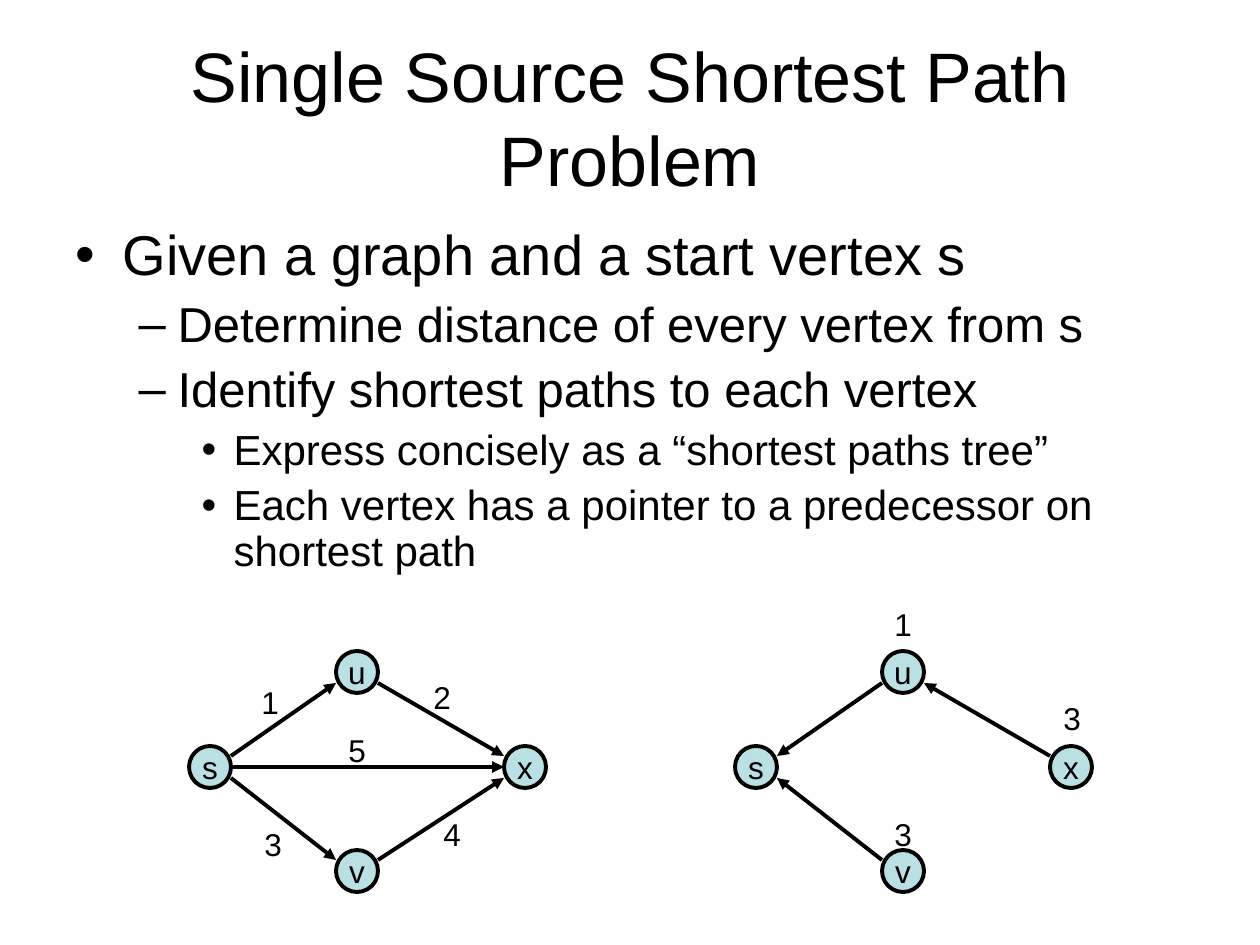
from lxml.etree import SubElement
from pptx import Presentation
from pptx.dml.color import RGBColor
from pptx.enum.shapes import MSO_CONNECTOR, MSO_SHAPE
from pptx.enum.text import MSO_ANCHOR, MSO_AUTO_SIZE, PP_ALIGN
from pptx.oxml.ns import qn
from pptx.util import Pt

PX = 7257  # EMU per px, 126 px to the inch
COLORS = {name: RGBColor.from_string(value) for name, value in
          {"ink": "000000", "vertex": "BBE0E3"}.items()}
VERTEX_SIZE = 42
LABEL_SIZE = (43, 50)


def place(shape, left, top, width, height):
    shape.left, shape.top = left * PX, top * PX
    shape.width, shape.height = width * PX, height * PX


def style(paragraph, size, align):
    paragraph.alignment = align
    paragraph.font.name = "Arial"
    paragraph.font.size = Pt(size)
    paragraph.font.color.rgb = COLORS["ink"]


prs = Presentation()
prs.slide_width, prs.slide_height = 1260 * PX, 945 * PX
slide = prs.slides.add_slide(prs.slide_layouts[1])
shapes = slide.shapes

# Title
title = shapes.title
place(title, 63, 38, 1134, 158)
title.text_frame.text = "Single Source Shortest Path Problem"
title.text_frame.auto_size = MSO_AUTO_SIZE.NONE
title.text_frame.vertical_anchor = MSO_ANCHOR.MIDDLE
style(title.text_frame.paragraphs[0], 40, PP_ALIGN.CENTER)

# Problem statement: bullet, margin, hanging indent, size and space before per level
LEVELS = [("•", 47, 47, 32, 8), ("–", 102, 39, 28, 7), ("•", 158, 32, 24, 6)]
statement = [
    (0, "Given a graph and a start vertex s"),
    (1, "Determine distance of every vertex from s"),
    (1, "Identify shortest paths to each vertex"),
    (2, "Express concisely as a “shortest paths tree”"),
    (2, "Each vertex has a pointer to a predecessor on shortest path"),
]
body = slide.placeholders[1]
place(body, 63, 221, 1134, 388)
body.text_frame.auto_size = MSO_AUTO_SIZE.NONE
for index, (level, text) in enumerate(statement):
    bullet, margin, hanging, size, before = LEVELS[level]
    point = body.text_frame.paragraphs[0] if index == 0 else body.text_frame.add_paragraph()
    point.text = text
    point.level = level
    point.line_spacing = 0.9
    point.space_before = Pt(before if index else 0)
    properties = point._p.get_or_add_pPr()
    properties.set("marL", str(margin * PX))
    properties.set("indent", str(-hanging * PX))
    bullet_color = SubElement(properties, qn("a:buClr"))
    SubElement(bullet_color, qn("a:srgbClr"), val=str(COLORS["ink"]))
    SubElement(properties, qn("a:buChar"), char=bullet)
    style(point, size, PP_ALIGN.LEFT)

# Vertices, and edges as (start, offset down its right side, end, offset down its left side)
vertices = {"s": (189, 746), "v": (336, 850), "x": (504, 746), "u": (336, 651)}
HIGH, MIDDLE, LOW = 10, 21, 32
s_u = ("s", HIGH, "u", LOW)
s_x = ("s", MIDDLE, "x", MIDDLE)
s_v = ("s", LOW, "v", HIGH)
u_x = ("u", LOW, "x", HIGH)
v_x = ("v", HIGH, "x", LOW)

# Weighted graph, then shortest paths tree with pointers to predecessors
graphs = [
    (0, [s_u, s_x, s_v, u_x, v_x], "a:tailEnd",
     [("1", 249, 677), ("2", 421, 672), ("5", 336, 725), ("3", 252, 819), ("4", 431, 809)]),
    (546, [s_u, s_v, u_x], "a:headEnd",
     [("1", 336, 599), ("3", 505, 693), ("3", 336, 809)]),
]
for shift, edges, arrow_end, labels in graphs:
    for name, (left, top) in vertices.items():
        vertex = shapes.add_shape(MSO_SHAPE.OVAL, (left + shift) * PX, top * PX,
                                  VERTEX_SIZE * PX, VERTEX_SIZE * PX)
        vertex.shadow.inherit = False
        vertex.fill.solid()
        vertex.fill.fore_color.rgb = COLORS["vertex"]
        vertex.line.color.rgb = COLORS["ink"]
        vertex.line.width = Pt(2.25)
        vertex.text_frame.text = name
        vertex.text_frame.word_wrap = False
        vertex.text_frame.vertical_anchor = MSO_ANCHOR.MIDDLE
        style(vertex.text_frame.paragraphs[0], 18, PP_ALIGN.CENTER)

    for start, start_drop, end, end_drop in edges:
        start_left, start_top = vertices[start]
        end_left, end_top = vertices[end]
        edge = shapes.add_connector(
            MSO_CONNECTOR.STRAIGHT,
            (start_left + VERTEX_SIZE + shift) * PX, (start_top + start_drop) * PX,
            (end_left + shift) * PX, (end_top + end_drop) * PX)
        edge.line.color.rgb = COLORS["ink"]
        edge.line.width = Pt(2.25)
        SubElement(edge.line._get_or_add_ln(), qn(arrow_end), type="triangle")
        SubElement(edge._element.spPr, qn("a:effectLst"))

    for text, left, top in labels:
        label = shapes.add_textbox(0, 0, 0, 0)
        place(label, left + shift, top, *LABEL_SIZE)
        label.text_frame.text = text
        label.text_frame.word_wrap = False
        label.text_frame.auto_size = MSO_AUTO_SIZE.SHAPE_TO_FIT_TEXT
        style(label.text_frame.paragraphs[0], 18, PP_ALIGN.LEFT)

prs.save("out.pptx")
